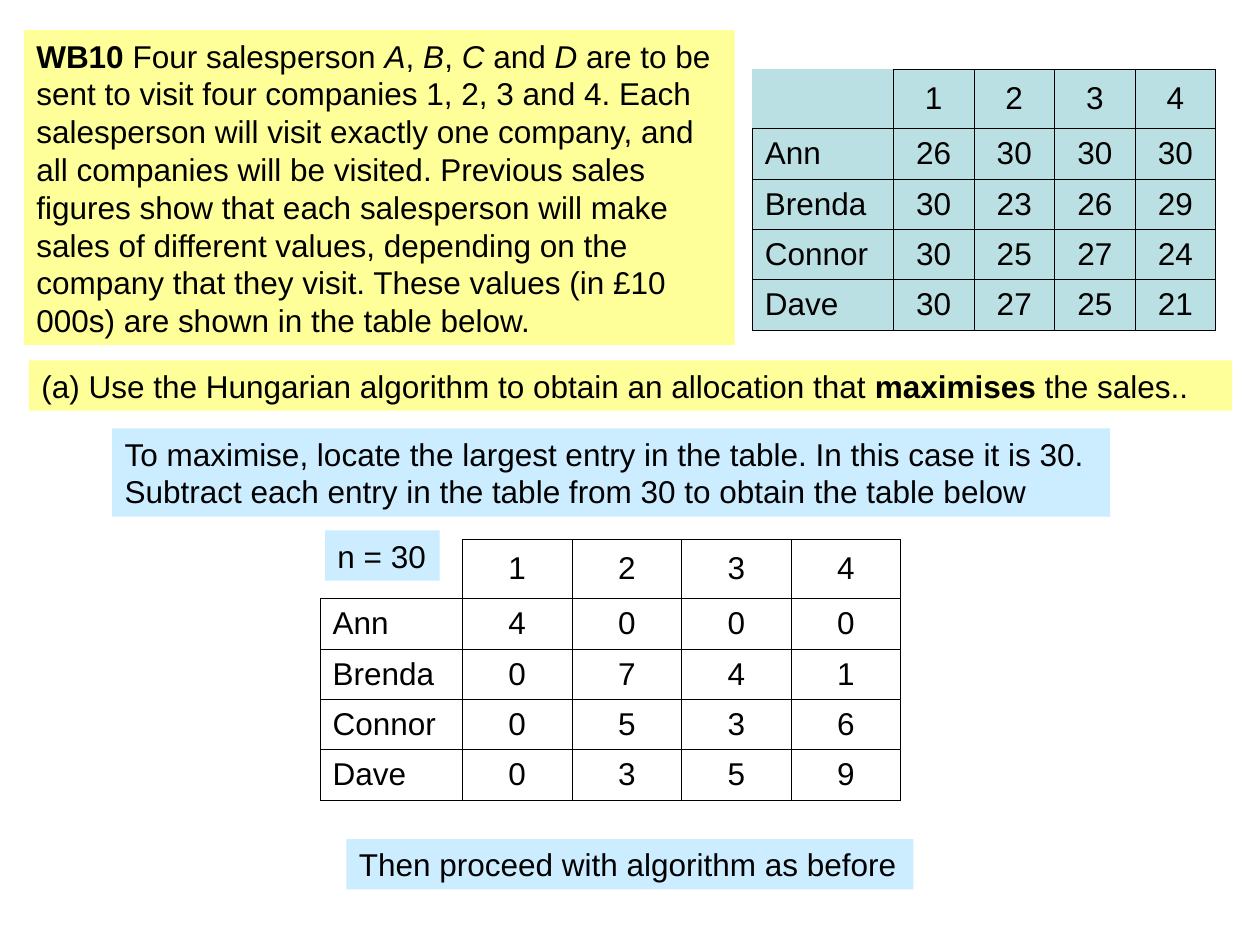
from lxml.etree import SubElement
from pptx import Presentation
from pptx.dml.color import RGBColor
from pptx.enum.text import MSO_ANCHOR, MSO_AUTO_SIZE, PP_ALIGN
from pptx.oxml.ns import qn
from pptx.util import Inches, Pt

YELLOW, BLUE, TEAL, BLACK = "FFFF99", "CCECFF", "BBE0E3", "000000"
LARGEST = 30
SALES = {
    "Ann": [26, 30, 30, 30],
    "Brenda": [30, 23, 26, 29],
    "Connor": [30, 25, 27, 24],
    "Dave": [30, 27, 25, 21],
}
QUESTION = [
    ("WB10", "bold"), (" Four salesperson ", ""), ("A", "italic"), (", ", ""),
    ("B", "italic"), (", ", ""), ("C", "italic"), (" and ", ""), ("D", "italic"),
    (" are to be sent to visit four companies 1, 2, 3 and 4. Each salesperson will "
     "visit exactly one company, and all companies will be visited. Previous sales "
     "figures show that each salesperson will make sales of different values, "
     "depending on the company that they visit. These values (in £10 000s) are "
     "shown in the table below.", ""),
]
TASK = [
    ("(a) Use the Hungarian algorithm to obtain an allocation that ", ""),
    ("maximises", "bold"), (" the sales..", ""),
]


def color(value):
    return RGBColor.from_string(value)


class SlideBuilder:
    """Draws text boxes and tables on one slide in a shared style."""

    def __init__(self, slide, font="Arial", size=18):
        self.slide = slide
        self.font = font
        self.size = size

    def style(self, paragraph):
        paragraph.font.name = self.font
        paragraph.font.size = Pt(self.size)
        paragraph.font.color.rgb = color(BLACK)

    def box(self, left, top, width, height, fill, paragraphs, wrap=False):
        shape = self.slide.shapes.add_textbox(
            Inches(left), Inches(top), Inches(width), Inches(height))
        shape.fill.solid()
        shape.fill.fore_color.rgb = color(fill)
        frame = shape.text_frame
        frame.word_wrap = wrap
        frame.auto_size = MSO_AUTO_SIZE.SHAPE_TO_FIT_TEXT
        frame.vertical_anchor = MSO_ANCHOR.MIDDLE if wrap else MSO_ANCHOR.TOP
        for index, runs in enumerate(paragraphs):
            paragraph = frame.add_paragraph() if index else frame.paragraphs[0]
            self.style(paragraph)
            for text, emphasis in runs:
                run = paragraph.add_run()
                run.text = text
                if emphasis:
                    setattr(run.font, emphasis, True)

    def borders(self, cell, hidden=()):
        properties = cell._tc.get_or_add_tcPr()
        for side in ("lnL", "lnR", "lnT", "lnB"):
            line = SubElement(properties, qn(f"a:{side}"), w=str(Pt(0.45)))
            if side in hidden:
                SubElement(line, qn("a:noFill"))
            else:
                solid = SubElement(line, qn("a:solidFill"))
                SubElement(solid, qn("a:srgbClr"), val=BLACK)

    def table(self, left, top, widths, heights, rows, fill=None):
        table = self.slide.shapes.add_table(
            len(heights), len(widths), Inches(left), Inches(top),
            Inches(sum(widths)), Inches(sum(heights))).table
        table.first_row = table.horz_banding = False
        for column, width in zip(table.columns, widths):
            column.width = Inches(width)
        for row, height in zip(table.rows, heights):
            row.height = Inches(height)
        for row_index, values in enumerate(rows):
            for column_index, value in enumerate(values):
                cell = table.cell(row_index, column_index)
                cell.text = str(value)
                cell.vertical_anchor = MSO_ANCHOR.MIDDLE
                paragraph = cell.text_frame.paragraphs[0]
                paragraph.alignment = PP_ALIGN.CENTER if column_index else PP_ALIGN.LEFT
                self.style(paragraph)
                corner = row_index == column_index == 0
                self.borders(cell, ("lnL", "lnT") if corner else ())
                if fill:
                    cell.fill.solid()
                    cell.fill.fore_color.rgb = color(fill)
                else:
                    cell.fill.background()


def grid(values):
    return [["", 1, 2, 3, 4]] + [[name, *row] for name, row in values.items()]


def main():
    presentation = Presentation()
    presentation.slide_width, presentation.slide_height = Inches(10), Inches(7.5)
    builder = SlideBuilder(presentation.slides.add_slide(presentation.slide_layouts[6]))
    heights = [0.47] + [0.4] * len(SALES)
    reduced = {name: [LARGEST - sale for sale in row] for name, row in SALES.items()}

    builder.box(0.19, 0.24, 5.64, 2.5, YELLOW, [QUESTION], wrap=True)
    builder.table(5.97, 0.55, [1.12] + [0.64] * 4, heights, grid(SALES), TEAL)
    builder.box(0.23, 2.86, 9.55, 0.4, YELLOW, [TASK], wrap=True)
    builder.box(0.89, 3.4, 7.92, 0.7, BLUE, [
        [("To maximise, locate the largest entry in the table. In this case it is 30.", "")],
        [("Subtract each entry in the table from 30 to obtain the table below", "")],
    ])
    builder.table(2.54, 4.28, [1.13] + [0.87] * 4, heights, grid(reduced))
    builder.box(2.75, 6.66, 4.5, 0.4, BLUE, [[("Then proceed with algorithm as before", "")]])
    builder.box(2.58, 4.21, 0.91, 0.4, BLUE, [[(f"n = {LARGEST}", "")]])
    presentation.save("out.pptx")


if __name__ == "__main__":
    main()
